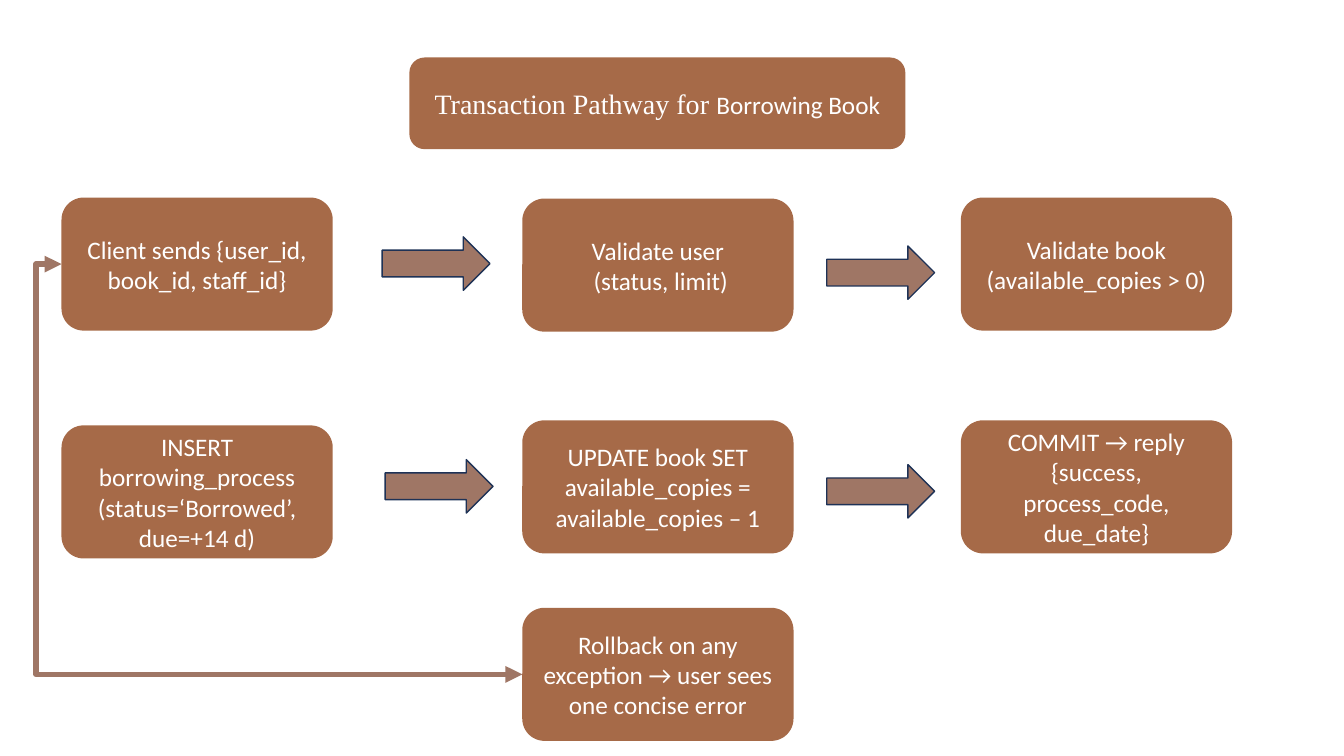
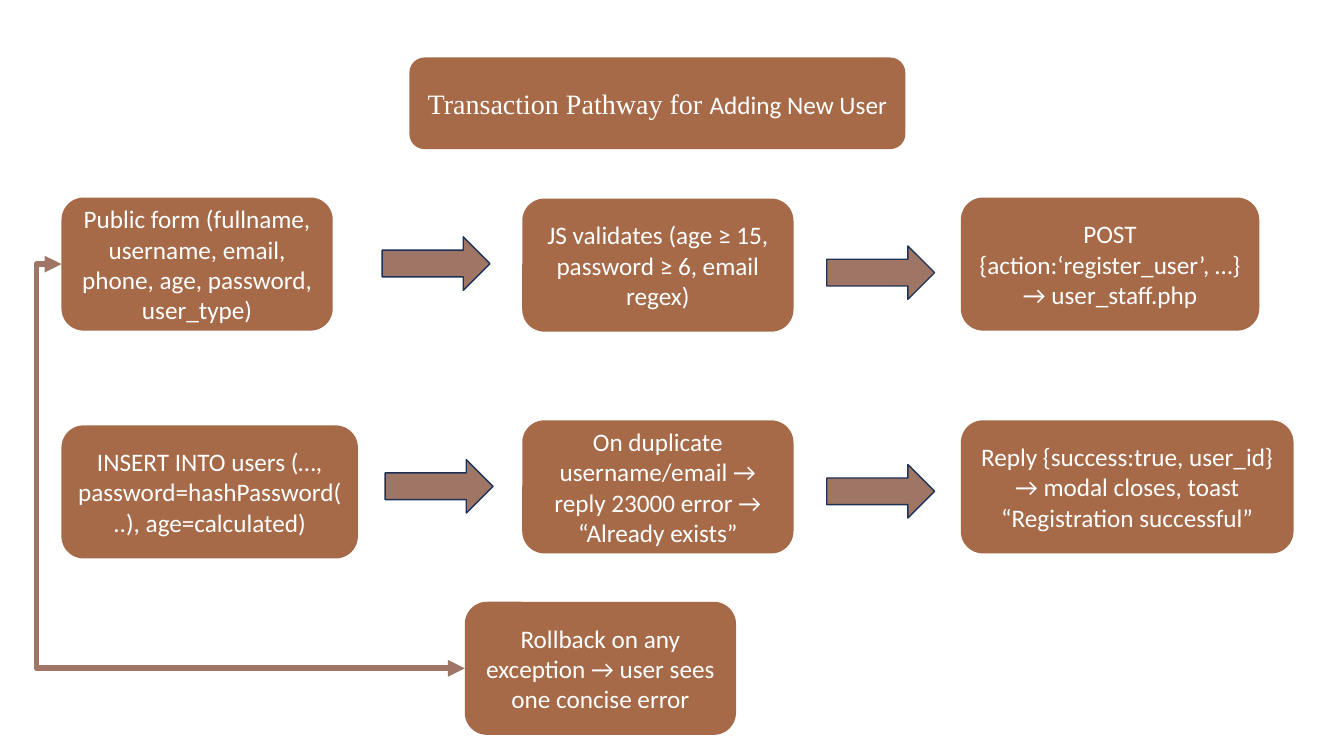
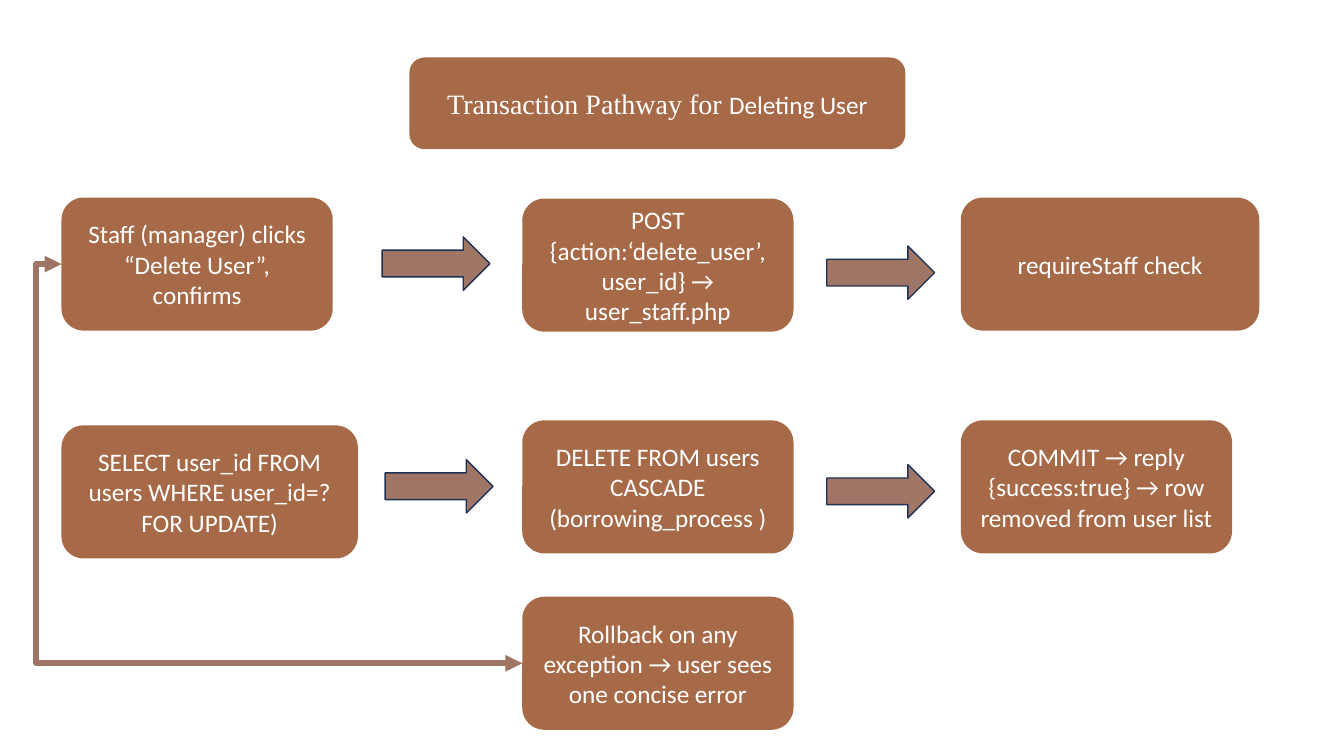
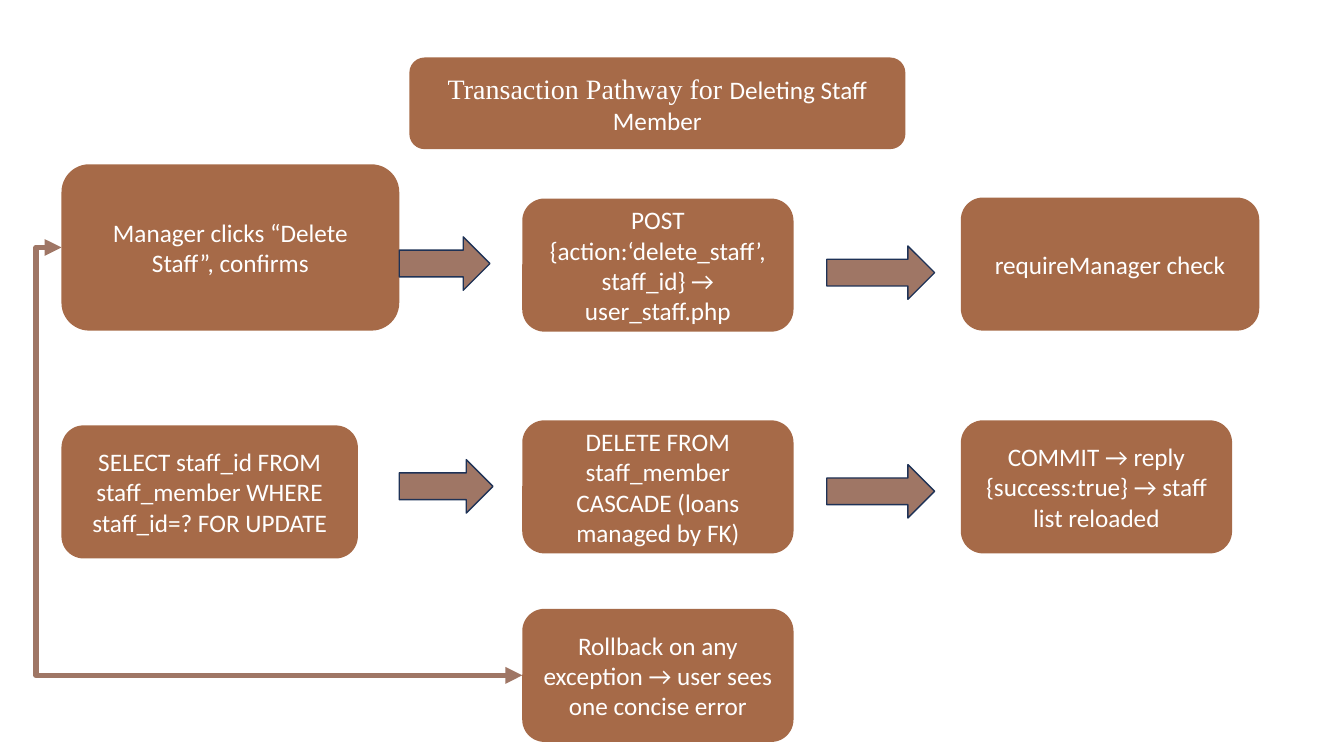
from dataclasses import dataclass

from lxml import etree
from pptx import Presentation
from pptx.dml.color import RGBColor
from pptx.enum.shapes import MSO_CONNECTOR, MSO_SHAPE
from pptx.enum.text import MSO_ANCHOR, MSO_AUTO_SIZE, PP_ALIGN
from pptx.oxml.ns import qn
from pptx.util import Inches, Pt

ROUNDED = MSO_SHAPE.ROUNDED_RECTANGLE
ARROW = MSO_SHAPE.RIGHT_ARROW
ELBOW = MSO_CONNECTOR.ELBOW
CENTER = PP_ALIGN.CENTER
MIDDLE = MSO_ANCHOR.MIDDLE
NO_AUTOFIT = MSO_AUTO_SIZE.NONE
LEFT_SIDE = 1
TITLE_ONLY = 5


@dataclass(frozen=True)
class Theme:
    box: RGBColor = RGBColor(0xA6, 0x6A, 0x48)
    arrow: RGBColor = RGBColor(0x9F, 0x76, 0x65)
    outline: RGBColor = RGBColor(0x1E, 0x32, 0x56)
    text: RGBColor = RGBColor(0xFF, 0xFF, 0xFF)
    title_font: str = "Times New Roman"
    body_font: str = "Calibri"
    title_size: int = 20
    body_size: int = 18
    outline_width: float = 1
    loop_width: float = 4


@dataclass(frozen=True)
class Step:
    text: str
    width: float = 2.69
    height: float = 1.32


@dataclass(frozen=True)
class Pathway:
    subject: str
    steps: tuple
    rollback_top: float
    rollback_left: float = 5.18


# Left and bottom edge of each step, row by row
STEP_CORNERS = ((0.61, 3.28), (5.18, 3.29), (9.53, 3.28),
                (0.61, 5.54), (5.18, 5.49), (9.53, 5.49))
# Left and top of the arrows between the steps
ARROW_CORNERS = ((3.79, 2.35), (8.2, 2.44), (3.82, 4.56), (8.2, 4.61))
ARROW_WIDTH, ARROW_HEIGHT = 1.07, 0.53
TITLE_BOX = (4.06, 0.57, 4.92, 0.91)
TITLE_INSET = 0.04
LOOP_LEFT = 0.36
ROLLBACK = Step("Rollback on any exception → user sees one concise error")

PATHWAYS = (
    Pathway("Borrowing Book", (
        Step("Client sends {user_id, book_id, staff_id}"),
        Step("Validate user\n (status, limit)"),
        Step("Validate book (available_copies > 0)"),
        Step("INSERT borrowing_process (status=‘Borrowed’, due=+14 d)"),
        Step("UPDATE book SET available_copies = available_copies – 1"),
        Step("COMMIT → reply {success, process_code, due_date}"),
    ), 6.03),
    Pathway("Adding New User", (
        Step("Public form (fullname, username, email, phone, age, password, user_type)"),
        Step("JS validates (age ≥ 15, password ≥ 6, email regex)"),
        Step("POST {action:‘register_user’, …} → user_staff.php", 2.96),
        Step("INSERT INTO users (…, password=hashPassword(..), age=calculated)", 2.94),
        Step("On duplicate username/email → reply 23000 error → “Already exists”"),
        Step("Reply {success:true, user_id} → modal closes, toast “Registration successful”", 3.3),
    ), 5.97, 4.61),
    Pathway("Deleting User", (
        Step("Staff (manager) clicks “Delete User”, confirms"),
        Step("POST {action:‘delete_user’, user_id} → user_staff.php"),
        Step("requireStaff check", 2.96),
        Step("SELECT user_id FROM users WHERE user_id=? FOR UPDATE)", 2.94),
        Step("DELETE FROM users CASCADE (borrowing_process )"),
        Step("COMMIT → reply {success:true} → row removed from user list"),
    ), 5.92),
    Pathway("Deleting Staff Member", (
        Step("Manager clicks “Delete Staff”, confirms", 3.35, 1.65),
        Step("POST {action:‘delete_staff’, staff_id} → user_staff.php"),
        Step("requireManager check", 2.96),
        Step("SELECT staff_id FROM staff_member WHERE staff_id=? FOR UPDATE", 2.94),
        Step("DELETE FROM staff_member CASCADE (loans managed by FK)"),
        Step("COMMIT → reply {success:true} → staff list reloaded"),
    ), 6.04),
)


class Deck:
    def __init__(self, theme):
        self.theme = theme
        self.prs = Presentation()
        self.prs.slide_width = Inches(13.33)
        self.prs.slide_height = Inches(7.5)
        self.slide = None

    def new_slide(self):
        self.slide = self.prs.slides.add_slide(self.prs.slide_layouts[TITLE_ONLY])

    def add_run(self, paragraph, text, font, size):
        run = paragraph.add_run()
        run.text = text
        run.font.name = font
        run.font.size = Pt(size)
        run.font.color.rgb = self.theme.text

    def preset(self, kind, fill, left, top, width, height):
        shape = self.slide.shapes.add_shape(
            kind, Inches(left), Inches(top), Inches(width), Inches(height))
        shape.shadow.inherit = False
        shape.fill.solid()
        shape.fill.fore_color.rgb = fill
        shape.line.fill.background()
        return shape

    def title(self, subject):
        left, top, width, height = TITLE_BOX
        self.preset(ROUNDED, self.theme.box, *TITLE_BOX)
        heading = self.slide.shapes.title
        heading.left, heading.top = Inches(left + TITLE_INSET), Inches(top + TITLE_INSET)
        heading.width = Inches(width - 2 * TITLE_INSET)
        heading.height = Inches(height - 2 * TITLE_INSET)
        # Keep the heading in front of its band
        self.slide.shapes.element.append(heading.element)
        frame = heading.text_frame
        frame.auto_size = NO_AUTOFIT
        frame.word_wrap = True
        frame.vertical_anchor = MIDDLE
        paragraph = frame.paragraphs[0]
        paragraph.alignment = CENTER
        self.add_run(paragraph, "Transaction Pathway for ",
                     self.theme.title_font, self.theme.title_size)
        self.add_run(paragraph, subject, self.theme.body_font, self.theme.body_size)

    def step(self, step, left, bottom):
        box = self.preset(ROUNDED, self.theme.box, left, bottom - step.height,
                          step.width, step.height)
        frame = box.text_frame
        frame.word_wrap = True
        frame.vertical_anchor = MIDDLE
        for index, line in enumerate(step.text.split("\n")):
            paragraph = frame.add_paragraph() if index else frame.paragraphs[0]
            paragraph.alignment = CENTER
            self.add_run(paragraph, line, self.theme.body_font, self.theme.body_size)
        return box

    def arrow(self, left, top, width):
        arrow = self.preset(ARROW, self.theme.arrow, left, top, width, ARROW_HEIGHT)
        arrow.line.color.rgb = self.theme.outline
        arrow.line.width = Pt(self.theme.outline_width)

    def loop(self, rollback, first_step):
        loop = self.slide.shapes.add_connector(
            ELBOW, rollback.left, rollback.top + rollback.height // 2,
            first_step.left, first_step.top + first_step.height // 2)
        loop.begin_connect(rollback, LEFT_SIDE)
        loop.end_connect(first_step, LEFT_SIDE)
        loop.line.color.rgb = self.theme.arrow
        loop.line.width = Pt(self.theme.loop_width)
        properties = loop.element.spPr
        # Half a turn replaces the two flips
        frame = properties.find(qn("a:xfrm"))
        for flip in ("flipH", "flipV"):
            frame.attrib.pop(flip, None)
        frame.set("rot", str(180 * 60000))
        # Bend beyond the left edge of the boxes
        reach = (rollback.left - Inches(LOOP_LEFT)) / (rollback.left - first_step.left)
        guides = properties.find(qn("a:prstGeom")).get_or_add_avLst()
        etree.SubElement(guides, qn("a:gd"), name="adj1",
                         fmla=f"val {round(reach * 100000)}")
        # Arrowheads at both ends, no shadow
        line = properties.find(qn("a:ln"))
        for end in ("a:headEnd", "a:tailEnd"):
            etree.SubElement(line, qn(end), type="triangle")
        etree.SubElement(properties, qn("a:effectLst"))

    def pathway(self, pathway):
        self.new_slide()
        self.title(pathway.subject)
        boxes = [self.step(step, *corner)
                 for step, corner in zip(pathway.steps, STEP_CORNERS)]
        # A wide first step shortens the arrow after it
        first_right = STEP_CORNERS[0][0] + pathway.steps[0].width
        for left, top in ARROW_CORNERS:
            start = max(left, first_right)
            self.arrow(start, top, left + ARROW_WIDTH - start)
        rollback = self.step(ROLLBACK, pathway.rollback_left,
                             pathway.rollback_top + ROLLBACK.height)
        self.loop(rollback, boxes[0])


def main():
    deck = Deck(Theme())
    for pathway in PATHWAYS:
        deck.pathway(pathway)
    deck.prs.save("out.pptx")


if __name__ == "__main__":
    main()
